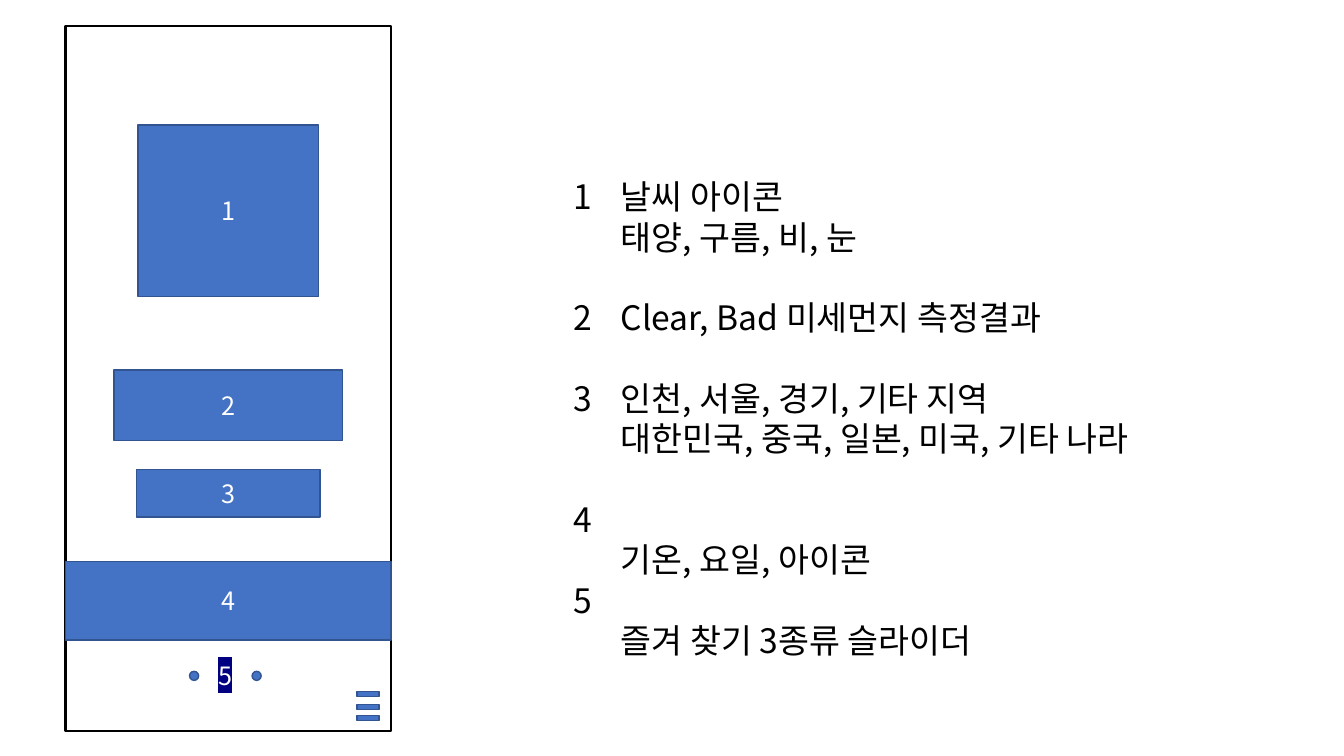
from lxml import etree
from pptx import Presentation
from pptx.dml.color import RGBColor
from pptx.enum.shapes import MSO_SHAPE
from pptx.enum.text import MSO_ANCHOR, PP_ALIGN
from pptx.oxml.ns import qn
from pptx.util import Inches, Pt

RECT, OVAL = MSO_SHAPE.RECTANGLE, MSO_SHAPE.OVAL
MIDDLE, CENTER = MSO_ANCHOR.MIDDLE, PP_ALIGN.CENTER
BLACK = RGBColor(0, 0, 0)
WHITE = RGBColor(255, 255, 255)
BLUE = RGBColor(0x44, 0x72, 0xC4)
EDGE = RGBColor(0x32, 0x54, 0x91)
NAVY = RGBColor(0, 0, 0x80)
FONT = "Noto Sans CJK KR"
WIDE, HIGH = 13.33, 7.5

# Offset from the phone's centre line, top, width, height
BLOCKS = [
    ("1", 0, 1.24, 1.79, 1.7),
    ("2", 0, 3.67, 2.27, 0.7),
    ("3", 0, 4.66, 1.82, 0.47),
    ("4", 0, 5.57, 3.23, 0.78),
]
# Number, its row, row of the text, lines of text
NOTES = [
    ("1", 0, 0, ["날씨 아이콘", "태양, 구름, 비, 눈"]),
    ("2", 3, 3, ["Clear, Bad 미세먼지 측정결과"]),
    ("3", 5, 5, ["인천, 서울, 경기, 기타 지역",
                 "대한민국, 중국, 일본, 미국, 기타 나라"]),
    ("4", 8, 9, ["기온, 요일, 아이콘"]),
    ("5", 10, 11, ["즐겨 찾기 3종류 슬라이더"]),
]


def style(para, size, color):
    """Set the font of a paragraph, for Latin and Korean alike."""
    font = para.font
    font.name, font.size = FONT, Pt(size)
    font.color.rgb = color
    east = etree.SubElement(font._element, qn("a:ea"))
    east.set("typeface", FONT)


def block(slide, box, kind=RECT, fill=BLUE, edge=EDGE, width=1, text=""):
    """Draw a filled shape in box, with an optional centred label."""
    shape = slide.shapes.add_shape(kind, *map(Inches, box))
    shape.shadow.inherit = False
    shape.fill.solid()
    shape.fill.fore_color.rgb = fill
    shape.line.color.rgb = edge
    shape.line.width = Pt(width)
    if text:
        frame = shape.text_frame
        frame.word_wrap = False
        frame.vertical_anchor = MIDDLE
        frame.margin_left = frame.margin_right = 0
        frame.margin_top = frame.margin_bottom = 0
        para = frame.paragraphs[0]
        para.text, para.alignment = text, CENTER
        style(para, 18, WHITE)
    return shape


def mark(shape, color):
    """Highlight the label of a shape."""
    props = shape.text_frame.paragraphs[0].runs[0]._r.get_or_add_rPr()
    light = etree.SubElement(props, qn("a:highlight"))
    etree.SubElement(light, qn("a:srgbClr")).set("val", str(color))


def phone(slide, box):
    """Draw the phone screen with its blocks, slider dots and menu."""
    left, top, width, height = box
    block(slide, box, fill=WHITE, edge=BLACK, width=1.5)
    mid = left + width / 2
    for text, shift, down, wide, high in BLOCKS:
        spot = (mid + shift - wide / 2, top + down - 0.26, wide, high)
        block(slide, spot, text=text)
    for down in (6.6, 6.73, 6.84):
        block(slide, (left + width - 0.34, top + down, 0.22, 0.05))
    dot = 0.09
    for step, text in enumerate(("", "5", "")):
        spot = (left + 1.23 + step * 0.31, top + 6.4, dot, dot)
        shape = block(slide, spot, OVAL, text=text)
        if text:
            mark(shape, NAVY)


def lines(slide, box, texts, pitch):
    """Write lines of text at a fixed pitch."""
    frame = slide.shapes.add_textbox(*map(Inches, box)).text_frame
    frame.word_wrap = True
    for index, text in enumerate(texts):
        para = frame.paragraphs[0] if index == 0 else frame.add_paragraph()
        para.text = text
        para.line_spacing = Pt(pitch * 72)
        style(para, 24, BLACK)


def legend(slide, box):
    """List the numbers with their notes on a grid of twelve rows."""
    left, top, width, height = box
    row = height / 12
    gap = 0.47
    for number, first, second, texts in NOTES:
        lines(slide, (left, top + first * row, gap, row + 0.1),
              [number], row)
        spot = (left + gap, top + second * row, width - gap,
                len(texts) * row + 0.1)
        lines(slide, spot, texts, row)


def main():
    """Build and save the slide."""
    deck = Presentation()
    deck.slide_width, deck.slide_height = Inches(WIDE), Inches(HIGH)
    slide = deck.slides.add_slide(deck.slide_layouts[6])
    phone(slide, (0.65, 0.26, 3.23, 6.99))
    legend(slide, (5.59, 1.7, 5.97, 4.8))
    deck.save("out.pptx")


main()
